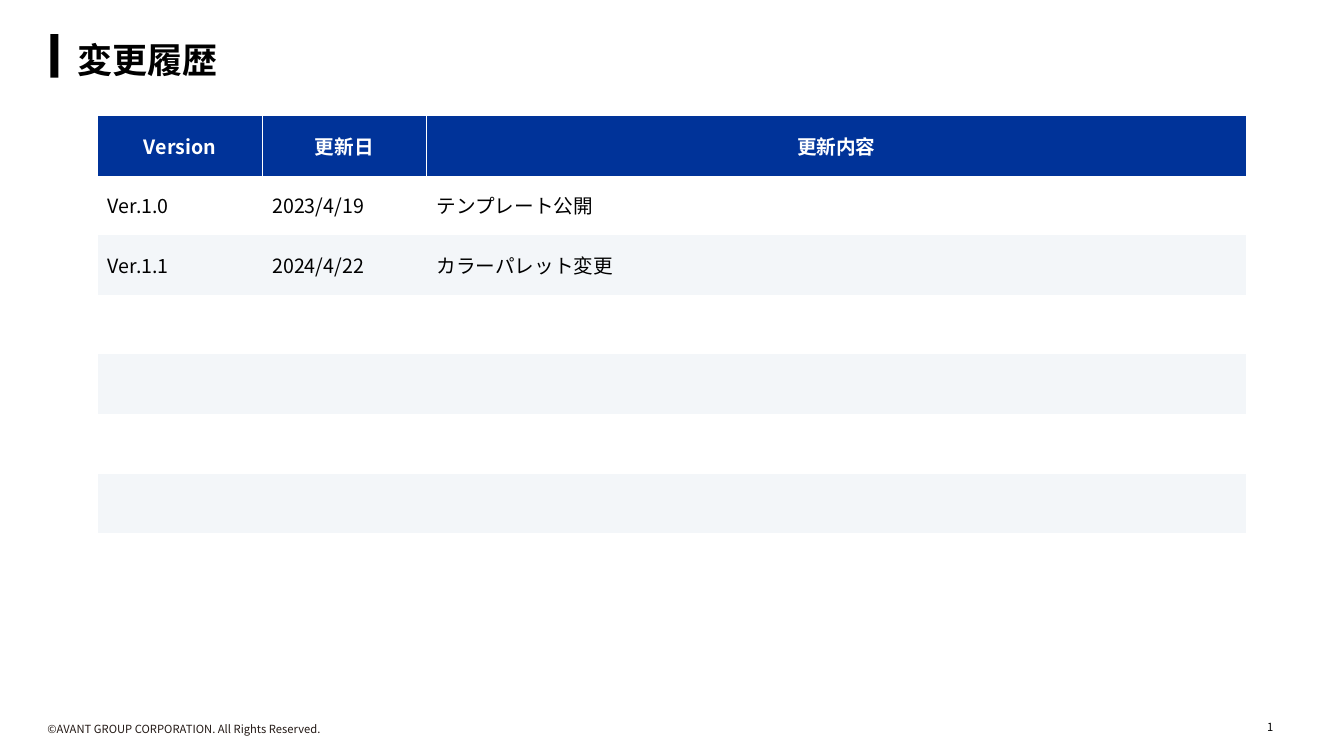
from dataclasses import dataclass

import pptx
import pptx.dml.color
import pptx.enum.shapes
import pptx.enum.text
import pptx.oxml
import pptx.oxml.ns
import pptx.util
from pptx.util import Inches

ALIGN = pptx.enum.text.PP_ALIGN
ANCHOR = pptx.enum.text.MSO_ANCHOR


@dataclass(frozen=True)
class Theme:
    font: str = "Noto Sans CJK JP"
    text: str = "000000"
    footer: str = "231915"
    header: str = "003399"
    light: str = "FFFFFF"
    band: str = "F3F6F9"
    title_size: int = 25
    table_size: int = 14
    footer_size: int = 8


@dataclass(frozen=True)
class Revision:
    version: str = ""
    date: str = ""
    change: str = ""


@dataclass(frozen=True)
class Label:
    text: str
    left: float
    top: float
    width: float
    height: float
    color: str
    margins: tuple[float, float, float, float] = (0.1, 0.05, 0.1, 0.05)


THEME = Theme()
HEADINGS = Revision("Version", "更新日", "更新内容")
REVISIONS = [
    Revision("Ver.1.0", "2023/4/19", "テンプレート公開"),
    Revision("Ver.1.1", "2024/4/22", "カラーパレット変更"),
]
ROW_COUNT = 7
COLUMN_WIDTHS = (1.63, 1.63, 8.13)
TABLE_HEIGHT = 4.14
PLAIN_TABLE_STYLE = "{2D5ABB26-0587-4C30-8999-92F81FD0307C}"
LABELS = [
    Label("1", 12.47, 7.1, 0.46, 0.24, THEME.text),
    Label("©AVANT GROUP CORPORATION. All Rights Reserved.",
          0.47, 7.16, 3.19, 0.14, THEME.footer, (0, 0.01, 0, 0)),
]


def rgb(color: str) -> pptx.dml.color.RGBColor:
    return pptx.dml.color.RGBColor.from_string(color)


def write(tf, text: str, *, size: int, color: str = THEME.text,
          bold: bool = False, align=ALIGN.LEFT) -> None:
    """Put one formatted run into a text frame, for Latin and Japanese alike."""
    p = tf.paragraphs[0]
    p.alignment = align
    r = p.add_run()
    r.text = text
    r.font.size = pptx.util.Pt(size)
    r.font.bold = bold
    r.font.color.rgb = rgb(color)
    r.font.name = THEME.font
    east_asian = pptx.oxml.parse_xml(
        f'<a:ea {pptx.oxml.ns.nsdecls("a")} typeface="{THEME.font}"/>')
    r.font._element.find(pptx.oxml.ns.qn("a:latin")).addnext(east_asian)


def add_title(s, text: str) -> None:
    bar = s.shapes.add_shape(
        pptx.enum.shapes.MSO_SHAPE.RECTANGLE,
        Inches(0.5), Inches(0.34), Inches(0.08), Inches(0.43))
    bar.shadow.inherit = False
    bar.fill.solid()
    bar.fill.fore_color.rgb = rgb(THEME.text)
    bar.line.fill.background()

    sp = s.shapes.title
    sp.left, sp.top = Inches(0.67), Inches(0.33)
    sp.width, sp.height = Inches(10.87), Inches(0.52)
    tf = sp.text_frame
    tf.auto_size = pptx.enum.text.MSO_AUTO_SIZE.NONE
    tf.vertical_anchor = ANCHOR.MIDDLE
    write(tf, text, size=THEME.title_size, bold=True)


def add_label(s, label: Label) -> None:
    sp = s.shapes.add_textbox(Inches(label.left), Inches(label.top),
                              Inches(label.width), Inches(label.height))
    tf = sp.text_frame
    tf.word_wrap = True
    tf.margin_left, tf.margin_top, tf.margin_right, tf.margin_bottom = map(
        Inches, label.margins)
    write(tf, label.text, size=THEME.footer_size, color=label.color)


def add_separators(cell, sides: list[str]) -> None:
    """Draw thin light lines on the given sides, listed as L before R."""
    for index, side in enumerate(sides):
        line = pptx.oxml.parse_xml(
            f'<a:ln{side} {pptx.oxml.ns.nsdecls("a")} w="9525"><a:solidFill>'
            f'<a:srgbClr val="{THEME.light}"/></a:solidFill></a:ln{side}>')
        cell._tc.get_or_add_tcPr().insert(index, line)


def fill_cell(cell, text: str, row: int, column: int) -> None:
    is_header = row == 0
    cell.vertical_anchor = ANCHOR.MIDDLE
    if is_header or row % 2 == 0:
        cell.fill.solid()
        cell.fill.fore_color.rgb = rgb(THEME.header if is_header else THEME.band)
    else:
        cell.fill.background()
    if is_header:
        last = len(COLUMN_WIDTHS) - 1
        add_separators(cell, ["L"] * (column > 0) + ["R"] * (column < last))
    if text:
        write(cell.text_frame, text, size=THEME.table_size, bold=is_header,
              color=THEME.light if is_header else THEME.text,
              align=ALIGN.CENTER if is_header else ALIGN.LEFT)


def add_history(s, revisions: list[Revision]) -> None:
    frame = s.shapes.add_table(
        ROW_COUNT, len(COLUMN_WIDTHS), Inches(0.97), Inches(1.15),
        Inches(sum(COLUMN_WIDTHS)), Inches(TABLE_HEIGHT))
    table = frame.table
    table.horz_banding = False
    style = table._tbl.tblPr.find(pptx.oxml.ns.qn("a:tableStyleId"))
    style.text = PLAIN_TABLE_STYLE
    for column, width in zip(table.columns, COLUMN_WIDTHS):
        column.width = Inches(width)

    blanks = [Revision()] * (ROW_COUNT - 1 - len(revisions))
    for row, entry in enumerate([HEADINGS, *revisions, *blanks]):
        for column, text in enumerate((entry.version, entry.date, entry.change)):
            fill_cell(table.cell(row, column), text, row, column)


def main() -> None:
    prs = pptx.Presentation()
    prs.slide_width, prs.slide_height = Inches(13.33), Inches(7.5)
    s = prs.slides.add_slide(prs.slide_layouts.get_by_name("Title Only"))
    add_title(s, "変更履歴")
    add_history(s, REVISIONS)
    for label in LABELS:
        add_label(s, label)
    prs.save("out.pptx")


if __name__ == "__main__":
    main()
